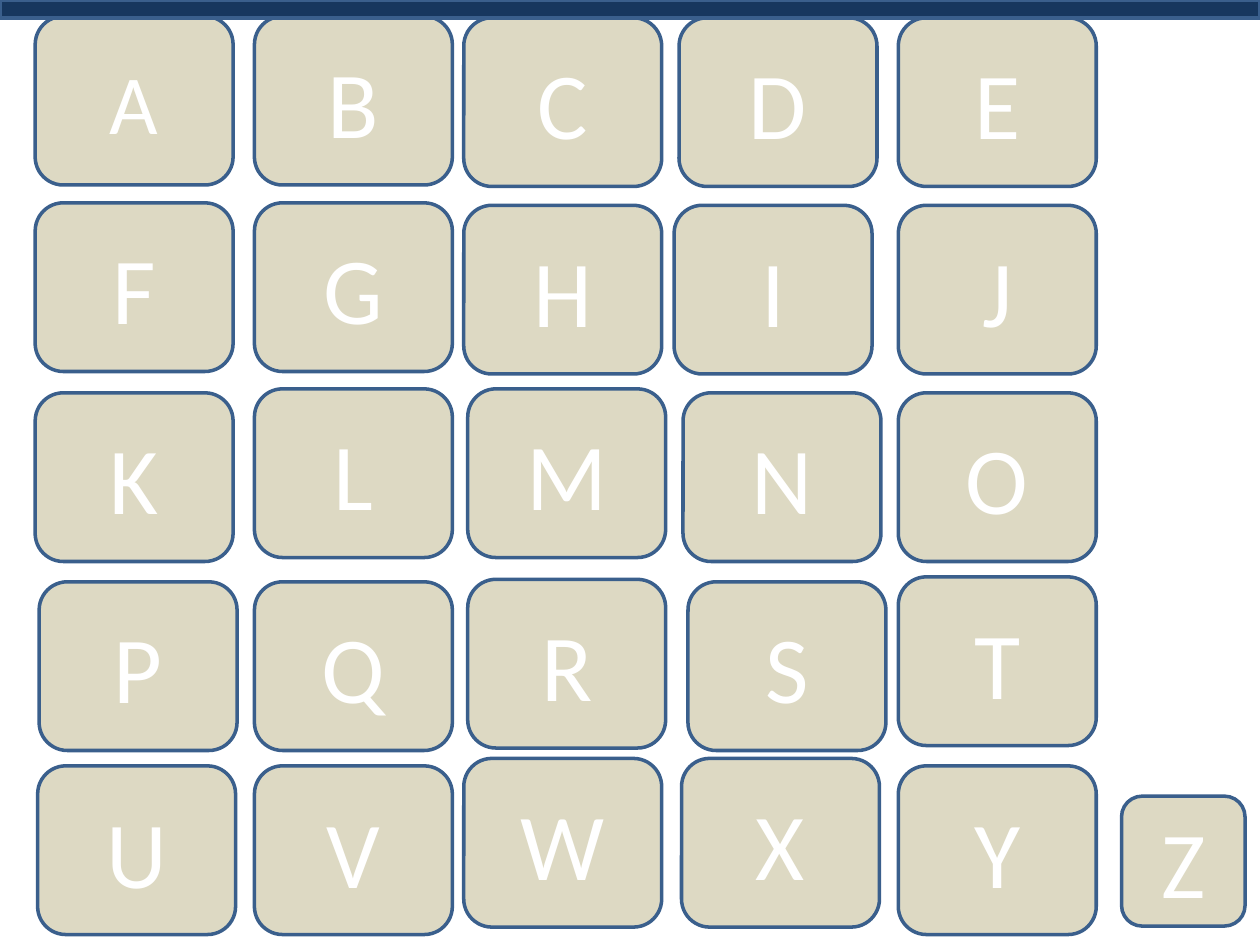
import pptx
import pptx.dml.color
import pptx.enum.shapes
import pptx.enum.text
import pptx.util

Cm = pptx.util.Cm
Pt = pptx.util.Pt
SHAPES = pptx.enum.shapes.MSO_SHAPE

COLORS = {"tile": "DDD9C3", "outline": "3A5F8C", "bar": "17375E", "letter": "FFFFFF"}
ROWS = ["ABCDE", "FGHIJ", "KLMNO", "PQRST", "UVWXY"]
COLUMN_LEFTS = [0, 4.42, 8.64, 12.98, 17.4]
ROW_TOPS = [0, 3.76, 7.59, 11.4, 15.11]
TILE_WIDTH, TILE_HEIGHT = 3.99, 3.4
NUDGES = {
    "C": (0, 0.03), "D": (0, 0.03), "E": (0, 0.03),
    "H": (0, 0.05), "I": (-0.1, 0.05), "J": (0, 0.05),
    "L": (0, -0.08), "M": (0.08, -0.08), "N": (0.08, 0),
    "P": (0.08, 0), "R": (0.08, -0.05), "S": (0.18, 0), "T": (0, -0.1),
    "U": (0.05, 0), "W": (0, -0.15), "X": (0.05, -0.15),
}


def rgb(name):
    """Return the named colour."""
    return pptx.dml.color.RGBColor.from_string(COLORS[name])


def add_box(slide, kind, left, top, width, height, fill):
    """Add an outlined shape, measured in centimetres."""
    shape = slide.shapes.add_shape(kind, Cm(left), Cm(top), Cm(width), Cm(height))
    shape.shadow.inherit = False
    shape.fill.solid()
    shape.fill.fore_color.rgb = rgb(fill)
    shape.line.color.rgb = rgb("outline")
    shape.line.width = Pt(2)
    return shape


def add_tile(slide, letter, left, top, width, height, size=54):
    """Add a rounded tile with one centred letter."""
    shape = add_box(slide, SHAPES.ROUNDED_RECTANGLE, left, top, width, height, "tile")
    shape.text_frame.vertical_anchor = pptx.enum.text.MSO_ANCHOR.MIDDLE
    paragraph = shape.text_frame.paragraphs[0]
    paragraph.alignment = pptx.enum.text.PP_ALIGN.CENTER
    run = paragraph.add_run()
    run.text = letter
    run.font.name = "Calibri"
    run.font.size = Pt(size)
    run.font.color.rgb = rgb("letter")


def add_letter_grid(slide, left, top):
    """Place the five rows of letters from the given corner."""
    for row_top, letters in zip(ROW_TOPS, ROWS):
        for column_left, letter in zip(COLUMN_LEFTS, letters):
            shift_x, shift_y = NUDGES.get(letter, (0, 0))
            add_tile(slide, letter, left + column_left + shift_x, top + row_top + shift_y,
                     TILE_WIDTH, TILE_HEIGHT, size=48 if letter == "A" else 54)


def main():
    """Build the alphabet slide."""
    presentation = pptx.Presentation()
    presentation.slide_width = Cm(25.4)
    presentation.slide_height = Cm(19.05)
    slide = presentation.slides.add_slide(presentation.slide_layouts.get_by_name("Blank"))
    add_letter_grid(slide, 0.71, 0.33)
    add_tile(slide, "Z", 22.61, 16.05, 2.49, 2.62)
    add_box(slide, SHAPES.RECTANGLE, 0, 0, 25.4, 0.36, "bar")
    presentation.save("out.pptx")


if __name__ == "__main__":
    main()
